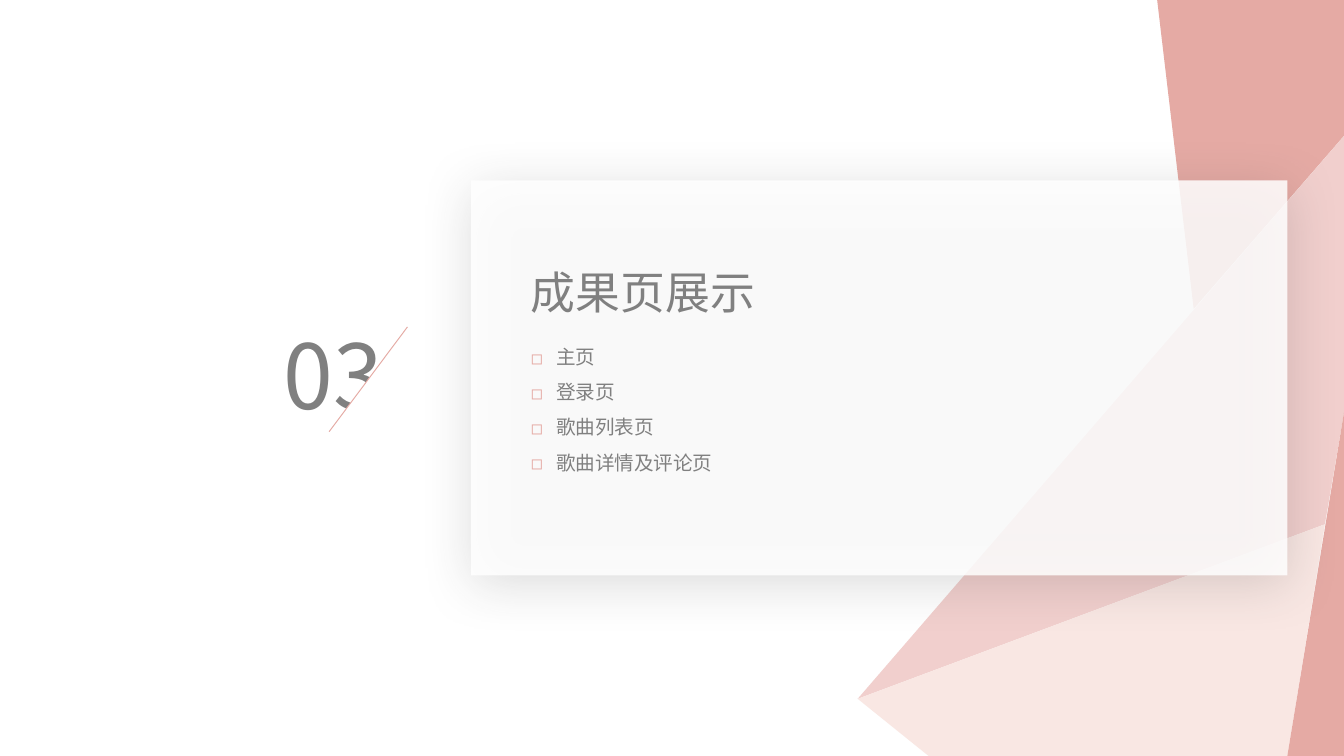
from dataclasses import dataclass

from lxml import etree
from pptx import Presentation
from pptx.dml.color import RGBColor
from pptx.enum.shapes import MSO_CONNECTOR, MSO_SHAPE
from pptx.enum.text import MSO_ANCHOR, MSO_AUTO_SIZE, PP_ALIGN
from pptx.oxml.ns import qn
from pptx.util import Cm, Pt

RECTANGLE = MSO_SHAPE.RECTANGLE
RIGHT_TRIANGLE = MSO_SHAPE.RIGHT_TRIANGLE
STRAIGHT = MSO_CONNECTOR.STRAIGHT
TOP = MSO_ANCHOR.TOP
LEFT = PP_ALIGN.LEFT
NO_AUTOFIT = MSO_AUTO_SIZE.NONE

COLORS = {
    "white": "FFFFFF",
    "text": "808080",
    "rose": "E5AAA4",
    "blush": "F1CFCD",
    "cream": "F9E7E3",
    "shadow": "333333",
}
FONT = "Noto Sans CJK SC"
LINE_HEIGHT = 1.2
WIDTH, HEIGHT = 25.4, 14.29


@dataclass(frozen=True)
class Box:
    left: float
    top: float
    width: float
    height: float

    def lengths(self) -> list:
        return [Cm(v) for v in (self.left, self.top, self.width, self.height)]


@dataclass(frozen=True)
class Shard:
    color: str
    points: tuple


@dataclass(frozen=True)
class TextStyle:
    size: float
    spacing: float = 1.0
    bullet: str = ""
    indent: float = 0.48


TIP = (16.21, 13.21)
FOLD = (25.04, 9.91)
FOOT = (24.33, HEIGHT)
EDGE_UPPER = (WIDTH, 2.57)
EDGE_LOWER = (WIDTH, 7.8)

SHARDS = (
    Shard("rose", ((22.56, 5.84), (21.87, 0), (WIDTH, 0), EDGE_UPPER)),
    Shard("blush", (TIP, FOLD, EDGE_LOWER, EDGE_UPPER)),
    Shard("cream", (TIP, (17.55, HEIGHT), FOOT, FOLD)),
    Shard("rose", (FOOT, (WIDTH, HEIGHT), EDGE_LOWER)),
)
PAGES = ("主页", "登录页", "歌曲列表页", "歌曲详情及评论页")


def rgb(color: str) -> RGBColor:
    return RGBColor.from_string(COLORS[color])


def add_child(parent, tag: str, **attributes):
    return etree.SubElement(parent, qn(tag), attributes)


def paint(shape, color: str) -> None:
    shape.shadow.inherit = False
    shape.fill.solid()
    shape.fill.fore_color.rgb = rgb(color)
    shape.line.fill.background()


def add_shard(slide, shard: Shard) -> None:
    corners = [(Cm(x), Cm(y)) for x, y in shard.points]
    builder = slide.shapes.build_freeform(*corners[0], scale=1.0)
    builder.add_line_segments(corners[1:], close=True)
    paint(builder.convert_to_shape(), shard.color)


def add_panel(slide, box: Box) -> None:
    panel = slide.shapes.add_shape(RECTANGLE, *box.lengths())
    paint(panel, "white")
    properties = panel.element.spPr
    fill_color = properties.find(qn("a:solidFill"))[0]
    add_child(fill_color, "a:alpha", val="85000")
    shadow = add_child(
        properties.find(qn("a:effectLst")), "a:outerShdw",
        blurRad=str(Pt(29)), dist=str(Pt(5)), dir=str(77 * 60000),
        algn="ctr", rotWithShape="0",
    )
    shadow_color = add_child(shadow, "a:srgbClr", val=COLORS["shadow"])
    add_child(shadow_color, "a:alpha", val="20000")


def add_slash(slide, box: Box) -> None:
    center_x = box.left + box.width / 2
    center_y = box.top + box.height / 2
    mask = slide.shapes.add_shape(RIGHT_TRIANGLE, *box.lengths())
    mask.rotation = 270
    paint(mask, "white")
    slash = slide.shapes.add_connector(
        STRAIGHT,
        Cm(center_x + box.height / 2), Cm(center_y - box.width / 2),
        Cm(center_x - box.height / 2), Cm(center_y + box.width / 2),
    )
    slash.line.color.rgb = rgb("rose")
    slash.line.width = Pt(0.5)
    add_child(slash.element.spPr, "a:effectLst")


def write(shape, box: Box, lines: tuple, style: TextStyle, wrap: bool = True) -> None:
    shape.left, shape.top, shape.width, shape.height = box.lengths()
    frame = shape.text_frame
    frame.auto_size = NO_AUTOFIT
    frame.word_wrap = wrap
    frame.vertical_anchor = TOP
    for index, line in enumerate(lines):
        paragraph = frame.add_paragraph() if index else frame.paragraphs[0]
        paragraph.alignment = LEFT
        paragraph.line_spacing = Pt(style.size * LINE_HEIGHT * style.spacing)
        paragraph.space_before = Pt(0)
        if style.bullet:
            properties = paragraph._p.get_or_add_pPr()
            properties.set("marL", str(Cm(style.indent)))
            properties.set("indent", str(-Cm(style.indent)))
            bullet_color = add_child(properties, "a:buClr")
            add_child(bullet_color, "a:srgbClr", val=COLORS["rose"])
            add_child(properties, "a:buFont", typeface=FONT)
            add_child(properties, "a:buChar", char=style.bullet)
        run = paragraph.add_run()
        run.text = line
        run.font.size = Pt(style.size)
        run.font.color.rgb = rgb("text")
        run.font.name = FONT
        add_child(run.font._element, "a:ea", typeface=FONT)


def main() -> None:
    deck = Presentation()
    deck.slide_width, deck.slide_height = Cm(WIDTH), Cm(HEIGHT)
    slide = deck.slides.add_slide(deck.slide_layouts[1])
    heading, page_list = slide.placeholders

    for shard in SHARDS:
        add_shard(slide, shard)
    add_panel(slide, Box(8.9, 3.41, 15.43, 7.47))

    number_box = Box(5.11, 5.92, 2.49, 2.31)
    number = slide.shapes.add_textbox(*number_box.lengths())
    write(number, number_box, ("03",), TextStyle(48))
    add_slash(slide, Box(5.97, 6.43, 1.98, 1.48))

    write(heading, Box(9.78, 4.88, 4.78, 1.27), ("成果页展示",), TextStyle(24), wrap=False)
    write(page_list, Box(9.78, 6.17, 6.35, 2.87), PAGES, TextStyle(10.5, 1.5, "◻"))
    for placeholder in (heading, page_list):
        slide.shapes.element.append(placeholder.element)

    deck.save("out.pptx")


if __name__ == "__main__":
    main()
